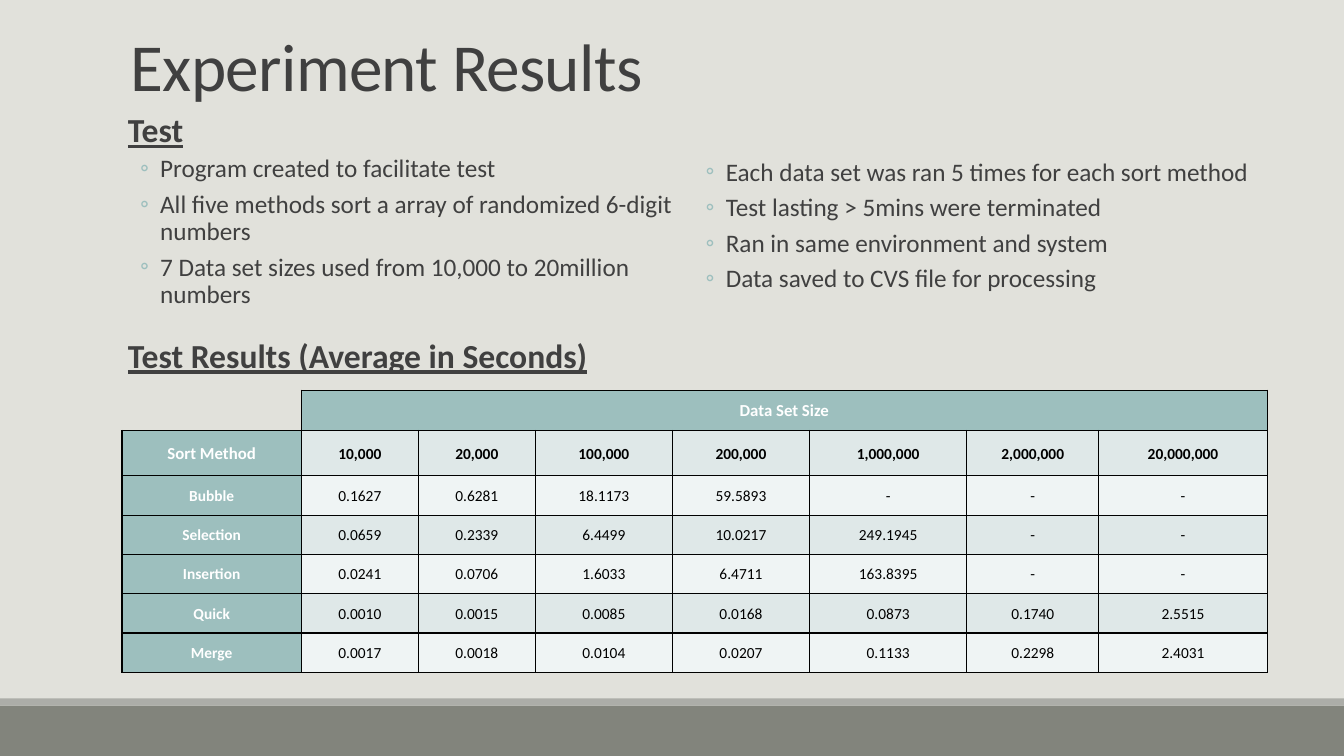
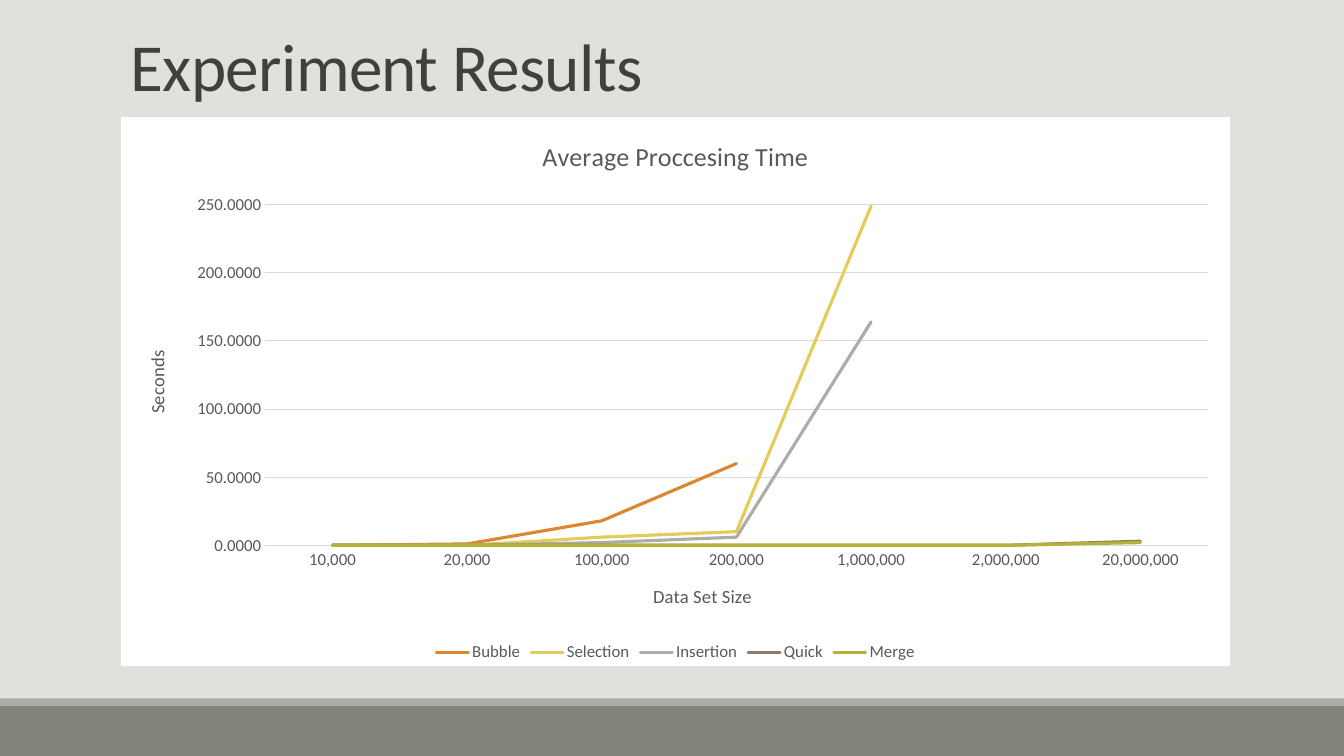
from pptx import Presentation
from pptx.chart.data import CategoryChartData
from pptx.dml.color import RGBColor
from pptx.enum.chart import XL_CHART_TYPE as ChartType, XL_LEGEND_POSITION as LegendPosition
from pptx.enum.chart import XL_MARKER_STYLE as MarkerStyle, XL_TICK_MARK as TickMark
from pptx.enum.shapes import MSO_SHAPE as Shape
from pptx.enum.text import MSO_ANCHOR as Anchor, PP_ALIGN as Align
from pptx.oxml import parse_xml
from pptx.oxml.ns import nsdecls
from pptx.util import Inches, Pt

SIZES = [10000, 20000, 100000, 200000, 1000000, 2000000, 20000000]
AVERAGES = {
    "Bubble": [0.1627, 0.6281, 18.1173, 59.5893, None, None, None],
    "Selection": [0.0659, 0.2339, 6.4499, 10.0217, 249.1945, None, None],
    "Insertion": [0.0241, 0.0706, 1.6033, 6.4711, 163.8395, None, None],
    "Quick": [0.0010, 0.0015, 0.0085, 0.0168, 0.0873, 0.1740, 2.5515],
    "Merge": [0.0017, 0.0018, 0.0104, 0.0207, 0.1133, 0.2298, 2.4031],
}
SERIES_COLORS = ["DB8631", "E3CC5A", "ACADA8", "927C61", "B3B435"]
TEST_SETUP = [
    "Program created to facilitate test",
    "All five methods sort a array of randomized 6-digit numbers",
    "7 Data set sizes used from 10,000 to 20million numbers",
]
TEST_RULES = [
    "Each data set was ran 5 times for each sort method",
    "Test lasting > 5mins were terminated",
    "Ran in same environment and system",
    "Data saved to CVS file for processing",
]


def rgb(value):
    """Turn a hex string into a colour."""
    return RGBColor.from_string(value)


def border(side, color=None):
    """Build one cell border, hidden when no colour is given."""
    paint = f'<a:solidFill><a:srgbClr val="{color}"/></a:solidFill>' if color else "<a:noFill/>"
    return parse_xml(f'<a:ln{side} {nsdecls("a")} w="{Pt(1)}">{paint}</a:ln{side}>')


class Deck:
    """Hold the shared style and the current slide."""

    FONT = "Calibri"
    BACKGROUND, BAND, STRIPE = "E1E1DB", "82847C", "ACADA8"
    TEXT, ACCENT, BLACK, WHITE = "404040", "9DBFBE", "000000", "FFFFFF"
    ROWS = ["DFE8E8", "EFF4F4"]
    CHART_TEXT, GRID = "595959", "D9D9D9"

    def __init__(self):
        """Start an empty widescreen presentation."""
        self.presentation = Presentation()
        self.presentation.slide_width = Inches(13.33)
        self.presentation.slide_height = Inches(7.5)
        self.slide = None

    def add_slide(self, title):
        """Add a slide with background, bottom bands and title."""
        self.slide = self.presentation.slides.add_slide(self.presentation.slide_layouts[6])
        fill = self.slide.background.fill
        fill.solid()
        fill.fore_color.rgb = rgb(self.BACKGROUND)
        self.band(7, 0.5, self.BAND)
        self.band(6.93, 0.07, self.STRIPE)
        frame = self.text_box(1.2, 0.31, 11, 0.85)
        frame.vertical_anchor = Anchor.TOP
        paragraph = frame.paragraphs[0]
        paragraph.line_spacing = 0.85
        run = self.add_run(paragraph, title, 48, self.TEXT)
        run.font._element.set("spc", "-50")

    def band(self, top, height, color):
        """Draw a full-width band."""
        shape = self.slide.shapes.add_shape(
            Shape.RECTANGLE, 0, Inches(top), self.presentation.slide_width, Inches(height))
        shape.shadow.inherit = False
        shape.fill.solid()
        shape.fill.fore_color.rgb = rgb(color)
        shape.line.fill.background()

    def text_box(self, left, top, width, height):
        """Add a wrapping text box and return its frame."""
        box = self.slide.shapes.add_textbox(
            Inches(left), Inches(top), Inches(width), Inches(height))
        box.text_frame.word_wrap = True
        return box.text_frame

    def style_font(self, font, size, color, bold=False):
        """Apply the deck font with a size, colour and weight."""
        font.name = self.FONT
        font.size = Pt(size)
        font.bold = bold
        font.color.rgb = rgb(color)

    def add_run(self, paragraph, text, size, color, bold=False):
        """Append a styled run."""
        run = paragraph.add_run()
        run.text = text
        self.style_font(run.font, size, color, bold)
        return run

    def body(self, left, top, heading=None, bullets=(), top_inset=0.06):
        """Add a text block with an underlined heading and bullets."""
        frame = self.text_box(left, top, 5.82, 2.24)
        frame.margin_top = Inches(top_inset)
        lines = ([(heading, False)] if heading else []) + [(text, True) for text in bullets]
        for index, (text, bulleted) in enumerate(lines):
            paragraph = frame.add_paragraph() if index else frame.paragraphs[0]
            paragraph.line_spacing = 0.9
            if bulleted:
                self.bullet(paragraph)
                self.add_run(paragraph, text, 18, self.TEXT)
            else:
                paragraph.space_before, paragraph.space_after = Pt(12), Pt(2)
                paragraph._p.get_or_add_pPr().set("marL", str(Inches(0.1)))
                self.add_run(paragraph, text, 24, self.TEXT, True).font.underline = True

    def bullet(self, paragraph):
        """Give a paragraph the second-level bullet."""
        paragraph.level = 1
        paragraph.space_before, paragraph.space_after = Pt(2), Pt(4)
        properties = paragraph._p.get_or_add_pPr()
        properties.set("marL", str(Inches(0.42)))
        properties.set("indent", str(Inches(-0.2)))
        for xml in (f'<a:buClr {nsdecls("a")}><a:srgbClr val="{self.ACCENT}"/></a:buClr>',
                    f'<a:buFont {nsdecls("a")} typeface="{self.FONT}"/>',
                    f'<a:buChar {nsdecls("a")} char="◦"/>'):
            properties.append(parse_xml(xml))

    def cell(self, cell, text, fill, size=11, color=BLACK, bold=False):
        """Fill, border and label one table cell."""
        cell.fill.solid()
        cell.fill.fore_color.rgb = rgb(fill)
        self.borders(cell, "LRTB")
        cell.vertical_anchor = Anchor.MIDDLE
        cell.margin_left = cell.margin_right = Inches(0.07)
        cell.margin_top = cell.margin_bottom = 0
        paragraph = cell.text_frame.paragraphs[0]
        paragraph.alignment = Align.CENTER
        paragraph.line_spacing = 1.07
        if text:
            self.add_run(paragraph, text, size, color, bold)

    def borders(self, cell, visible):
        """Set the four borders, showing only the named sides."""
        properties = cell._tc.get_or_add_tcPr()
        for index, side in enumerate("LRTB"):
            properties.insert(index, border(side, self.BLACK if side in visible else None))

    def results_table(self, left, top, widths, heights):
        """Add the table of average times."""
        table = self.slide.shapes.add_table(
            len(heights), len(widths), Inches(left), Inches(top),
            Inches(sum(widths)), Inches(sum(heights))).table
        table.first_row = table.horz_banding = False
        for column, width in zip(table.columns, widths):
            column.width = Inches(width)
        for row, height in zip(table.rows, heights):
            row.height = Inches(height)
        corner = table.cell(0, 0)
        corner.fill.background()
        self.borders(corner, "RB")
        for column in range(1, len(widths)):
            text = "Data Set Size" if column == 1 else ""
            self.cell(table.cell(0, column), text, self.ACCENT, 12, self.WHITE, True)
        table.cell(0, 1).merge(table.cell(0, len(widths) - 1))
        rows = [("Sort Method", [f"{size:,}" for size in SIZES])]
        for method, times in AVERAGES.items():
            rows.append((method, ["-" if time is None else f"{time:.4f}" for time in times]))
        for row, (label, values) in enumerate(rows, 1):
            header = row == 1
            self.cell(table.cell(row, 0), label, self.ACCENT, 12 if header else 11,
                      self.WHITE, True)
            for column, value in enumerate(values, 1):
                self.cell(table.cell(row, column), value, self.ROWS[(row - 1) % 2], bold=header)

    def axis(self, axis, title, number_format):
        """Style one chart axis."""
        self.chart_title(axis.axis_title, title, 13.3)
        axis.major_tick_mark = axis.minor_tick_mark = TickMark.NONE
        self.style_font(axis.tick_labels.font, 12, self.CHART_TEXT)
        axis.tick_labels.number_format = number_format
        axis.tick_labels.number_format_is_linked = False

    def chart_title(self, title, text, size):
        """Write the title of a chart or an axis."""
        self.add_run(title.text_frame.paragraphs[0], text, size, self.CHART_TEXT)

    def line(self, line, color, width):
        """Color a chart line and set its width."""
        line.color.rgb = rgb(color)
        line.width = Pt(width)

    def results_chart(self, left, top, width, height):
        """Add the line chart of average times in whole seconds."""
        data = CategoryChartData(number_format="0.0000")
        data.categories = SIZES
        data.categories.number_format = "#,##0"
        for method, times in AVERAGES.items():
            data.add_series(method, [None if time is None else round(time) for time in times])
        chart = self.slide.shapes.add_chart(
            ChartType.LINE, Inches(left), Inches(top), Inches(width), Inches(height), data).chart
        self.style_font(chart.font, 10, self.BLACK)
        self.chart_title(chart.chart_title, "Average Proccesing Time", 18.6)
        chart.chart_title.include_in_layout = False
        self.axis(chart.category_axis, "Data Set Size", "#,##0")
        self.line(chart.category_axis.format.line, self.GRID, 0.75)
        values = chart.value_axis
        self.axis(values, "Seconds", "0.0000")
        values.minimum_scale, values.maximum_scale, values.major_unit = 0, 250, 50
        values.format.line.fill.background()
        self.line(values.major_gridlines.format.line, self.GRID, 0.75)
        chart.has_legend = True
        chart.legend.position = LegendPosition.BOTTOM
        chart.legend.include_in_layout = False
        self.style_font(chart.legend.font, 12, self.CHART_TEXT)
        chart.plots[0].vary_by_categories = False
        for series, color in zip(chart.plots[0].series, SERIES_COLORS):
            series.smooth = False
            series.marker.style = MarkerStyle.NONE
            self.line(series.format.line, color, 2.25)
            series.format.line._ln.set("cap", "rnd")
        self.chart_frame(chart, x=0.13, y=0.16, w=0.85, h=0.62)

    def chart_frame(self, chart, **plot_area):
        """Make the chart white and place its plot area by fractions."""
        space = chart._chartSpace
        space.chart.addnext(parse_xml(
            f'<c:spPr {nsdecls("c", "a")}><a:solidFill><a:srgbClr val="{self.WHITE}"/>'
            '</a:solidFill><a:ln><a:noFill/></a:ln></c:spPr>'))
        places = "".join(f'<c:{name} val="{value}"/>' for name, value in plot_area.items())
        area = space.chart.plotArea
        for layout in area.findall(f"{{{area.nsmap['c']}}}layout"):
            area.remove(layout)
        area.insert(0, parse_xml(
            f'<c:layout {nsdecls("c")}><c:manualLayout><c:layoutTarget val="inner"/>'
            f'<c:xMode val="edge"/><c:yMode val="edge"/>{places}</c:manualLayout></c:layout>'))


def main():
    """Build and save both slides."""
    deck = Deck()
    deck.add_slide("Experiment Results")
    deck.body(1.07, 1.07, "Test", TEST_SETUP)
    deck.body(6.68, 1.07, bullets=TEST_RULES, top_inset=0.51)
    deck.results_table(1.21, 3.87, [1.78, 1.16, 1.16, 1.36, 1.36, 1.56, 1.31, 1.67],
                       [0.39, 0.45] + [0.39] * len(AVERAGES))
    deck.body(1.07, 3.31, "Test Results (Average in Seconds)")
    deck.add_slide("Experiment Results")
    deck.results_chart(1.2, 1.16, 11, 5.45)
    deck.presentation.save("out.pptx")


main()
